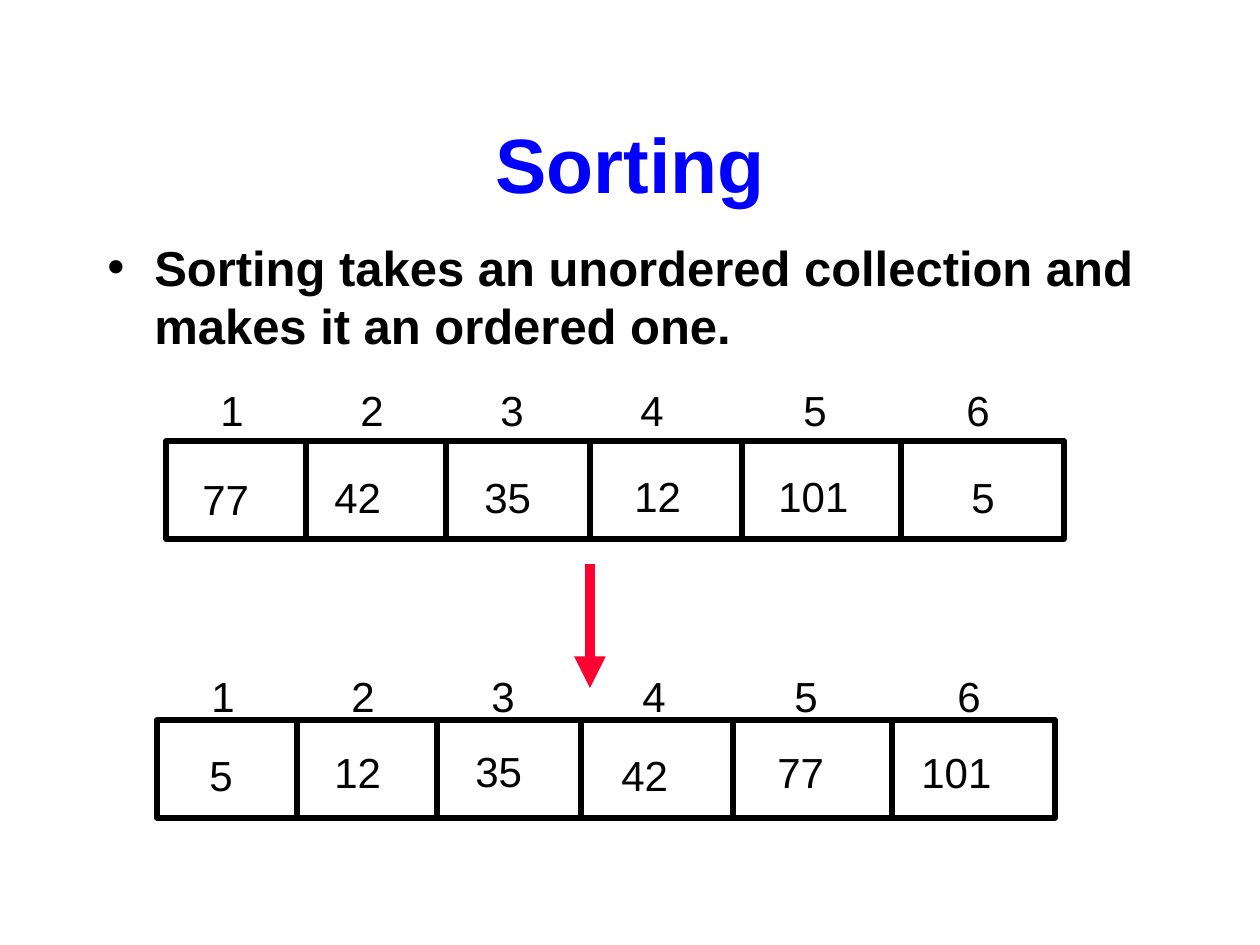
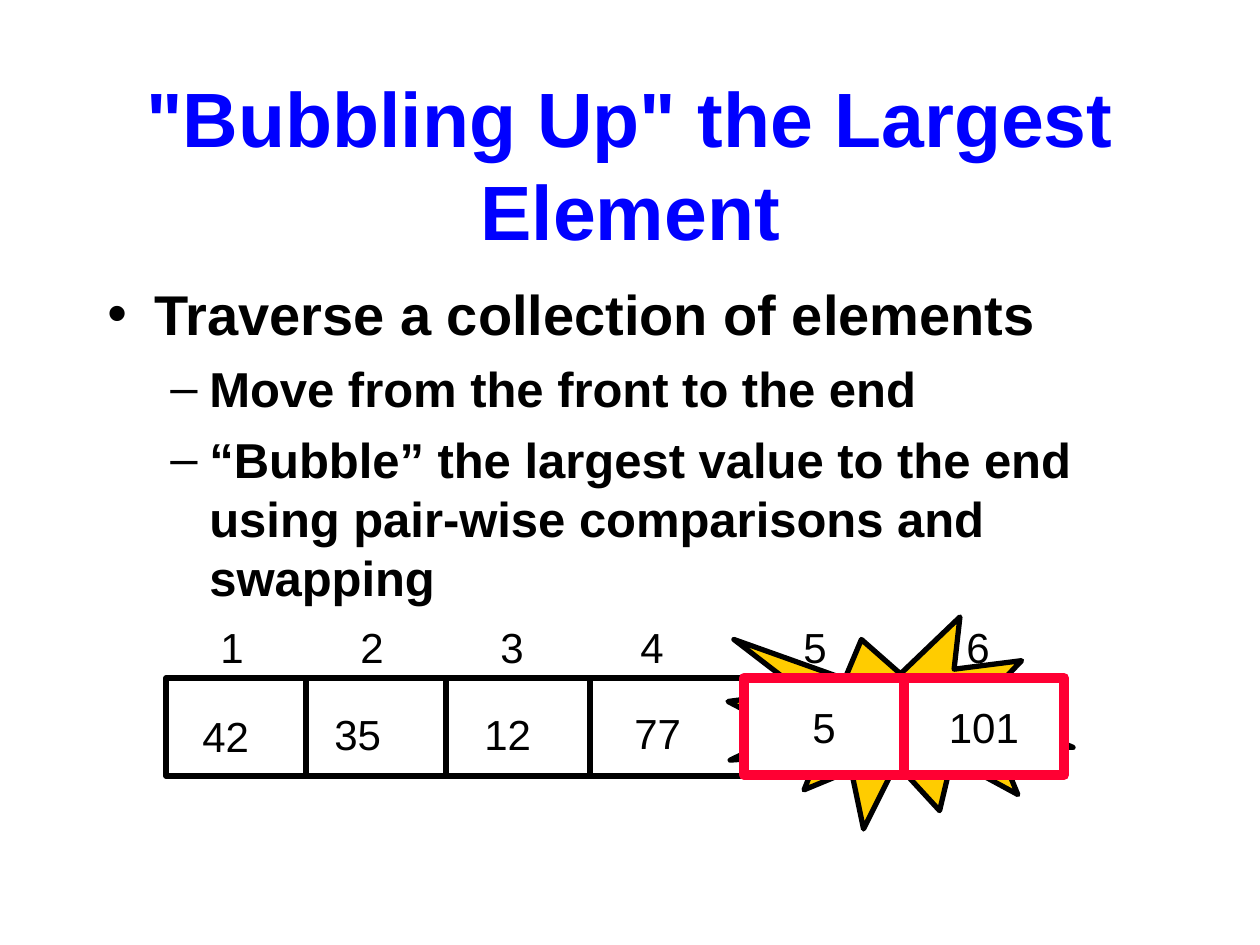
"""Build two slides that introduce sorting and bubbling up the largest element."""
from lxml.etree import SubElement
from pptx import Presentation
from pptx.dml.color import RGBColor
from pptx.enum.shapes import MSO_CONNECTOR, MSO_SHAPE
from pptx.enum.text import MSO_ANCHOR, PP_ALIGN
from pptx.oxml.ns import qn
from pptx.util import Pt

PX = 914400 / 126
FONT = "Arial"
BLACK = RGBColor(0x00, 0x00, 0x00)
WHITE = RGBColor(0xFF, 0xFF, 0xFF)
BLUE = RGBColor(0x00, 0x00, 0xFF)
RED = RGBColor(0xFF, 0x00, 0x33)
GOLD = RGBColor(0xFF, 0xCC, 0x00)

ARRAY_WIDTH, ARRAY_HEIGHT = 898, 98
DIVIDERS = [140, 280, 424, 576, 735]
BULLETS = [("•", 47, -47), ("–", 102, -39)]


def write(shape, text, size, color=BLACK, bold=False, align=PP_ALIGN.LEFT):
    """Fill a shape with evenly spaced paragraphs."""
    frame = shape.text_frame
    frame.text = text
    for paragraph in frame.paragraphs:
        paragraph.alignment = align
        paragraph.line_spacing = Pt(1.2 * size)
        for run in paragraph.runs:
            run.font.name = FONT
            run.font.size = Pt(size)
            run.font.bold = bold
            run.font.color.rgb = color
    return frame


def add_line(slide, start, end, color, width):
    """Draw a straight line without a shadow."""
    points = [round(value * PX) for value in (*start, *end)]
    line = slide.shapes.add_connector(MSO_CONNECTOR.STRAIGHT, *points)
    line.line.color.rgb = color
    line.line.width = Pt(width)
    SubElement(line._element.spPr, qn("a:effectLst"))
    return line


presentation = Presentation()
presentation.slide_width = round(1260 * PX)
presentation.slide_height = round(945 * PX)

contents = [
    ("Sorting", 231, [
        (0, 28, "Sorting takes an unordered collection and makes it an ordered one."),
    ]),
    ('"Bubbling Up" the Largest Element', 273, [
        (0, 32, "Traverse a collection of elements"),
        (1, 28, "Move from the front to the end"),
        (1, 28, "“Bubble” the largest value to the end using pair-wise comparisons and swapping"),
    ]),
]
slides = []
for title, body_top, points in contents:
    slide = presentation.slides.add_slide(presentation.slide_layouts[6])
    slides.append(slide)
    title_box = slide.shapes.add_textbox(*[round(v * PX) for v in (95, 84, 1071, 158)])
    frame = write(title_box, title, 44, BLUE, True, PP_ALIGN.CENTER)
    frame.word_wrap = True
    frame.vertical_anchor = MSO_ANCHOR.MIDDLE

    body = slide.shapes.add_textbox(*[round(v * PX) for v in (95, body_top, 1071, 567)])
    frame = write(body, "\n".join(text for _, _, text in points), 28, bold=True)
    frame.word_wrap = True
    for index, (paragraph, (level, size, _)) in enumerate(zip(frame.paragraphs, points)):
        symbol, margin, indent = BULLETS[level]
        paragraph.level = level
        paragraph.line_spacing = Pt(1.2 * size)
        paragraph.runs[0].font.size = Pt(size)
        if index:
            paragraph.space_before = Pt(7)
        properties = paragraph._p.get_or_add_pPr()
        properties.set("marL", str(round(margin * PX)))
        properties.set("indent", str(round(indent * PX)))
        SubElement(properties, qn("a:buFont"), typeface=FONT)
        SubElement(properties, qn("a:buChar"), char=symbol)

sorting, bubbling = slides
even_tabs = [140, 280, 420, 583, 746]
wide_tabs = [140, 280, 431, 583, 746]
unsorted_offsets = [(24, 26), (156, 24), (306, 24), (456, 23), (600, 23), (793, 24)]
sorted_offsets = [(40, 23), (165, 20), (306, 19), (452, 23), (608, 20), (752, 20)]
arrays = [
    (sorting, 166, 441, 378, even_tabs, [77, 42, 35, 12, 101, 5], unsorted_offsets),
    (sorting, 157, 720, 664, wide_tabs, [5, 12, 35, 42, 77, 101], sorted_offsets),
    (bubbling, 166, 678, 615, even_tabs, [42, 35, 12, 77], unsorted_offsets),
]
for slide, left, top, label_top, tabs, values, offsets in arrays:
    outline = slide.shapes.add_shape(
        MSO_SHAPE.RECTANGLE,
        *[round(v * PX) for v in (left, top, ARRAY_WIDTH, ARRAY_HEIGHT)])
    outline.shadow.inherit = False
    outline.fill.background()
    outline.line.color.rgb = BLACK
    outline.line.width = Pt(3)
    for divider in DIVIDERS:
        x = left + divider
        add_line(slide, (x, top), (x, top + ARRAY_HEIGHT), BLACK, 3)
    for value, (dx, dy) in zip(values, offsets):
        width = 23 * len(str(value)) + 26
        value_box = slide.shapes.add_textbox(
            *[round(v * PX) for v in (left + dx, top + dy, width, 63)])
        write(value_box, str(value), 24).word_wrap = False

    labels = slide.shapes.add_textbox(
        *[round(v * PX) for v in (left + 42, label_top, 820, 63)])
    frame = write(labels, "\t".join("123456"), 24)
    frame.word_wrap = True
    tab_list = SubElement(frame.paragraphs[0]._p.get_or_add_pPr(), qn("a:tabLst"))
    for tab in tabs:
        SubElement(tab_list, qn("a:tab"), pos=str(round(tab * PX)), algn="l")

arrow = add_line(sorting, (590, 564), (590, 688), RED, 6)
SubElement(arrow.line._get_or_add_ln(), qn("a:tailEnd"), type="triangle")

highlights = [
    (MSO_SHAPE.EXPLOSION1, (728, 617, 345, 212), GOLD, BLACK, 3, ""),
    (MSO_SHAPE.RECTANGLE, (744, 678, 160, 97), WHITE, RED, 6, "5"),
    (MSO_SHAPE.RECTANGLE, (904, 678, 160, 97), WHITE, RED, 6, "101"),
]
for kind, box, fill, color, width, text in highlights:
    shape = bubbling.shapes.add_shape(kind, *[round(v * PX) for v in box])
    shape.shadow.inherit = False
    shape.fill.solid()
    shape.fill.fore_color.rgb = fill
    shape.line.color.rgb = color
    shape.line.width = Pt(width)
    if text:
        frame = write(shape, text, 24, align=PP_ALIGN.CENTER)
        frame.vertical_anchor = MSO_ANCHOR.MIDDLE

presentation.save("out.pptx")
